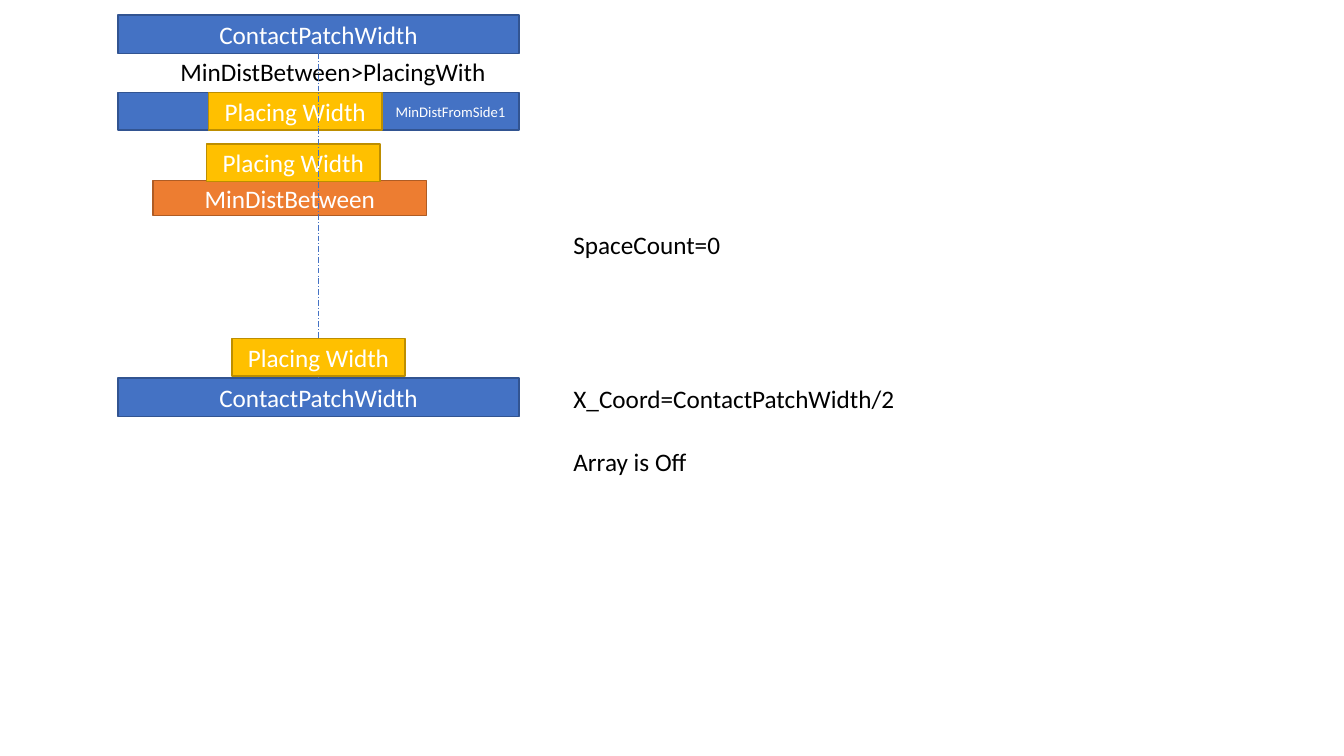
from pptx import Presentation
from pptx.dml.color import RGBColor
from pptx.enum.dml import MSO_LINE
from pptx.enum.shapes import MSO_CONNECTOR, MSO_SHAPE
from pptx.enum.text import MSO_ANCHOR, MSO_AUTO_SIZE, PP_ALIGN
from pptx.util import Inches, Pt
from lxml.etree import SubElement
from pptx.oxml.ns import qn

BLUE = RGBColor(0x44, 0x72, 0xC4)
BLUE_EDGE = RGBColor(0x32, 0x54, 0x91)
GOLD = RGBColor(0xFF, 0xC0, 0x00)
GOLD_EDGE = RGBColor(0xBD, 0x8E, 0x00)
ORANGE = RGBColor(0xED, 0x7D, 0x31)
ORANGE_EDGE = RGBColor(0xAF, 0x5C, 0x24)
WHITE = RGBColor(0xFF, 0xFF, 0xFF)
BLACK = RGBColor(0x00, 0x00, 0x00)

PATCH = (BLUE, BLUE_EDGE)
PLACING = (GOLD, GOLD_EDGE)
SPACING = (ORANGE, ORANGE_EDGE)

COLUMNS, ROWS = 160, 90
PATCH_LEFT, PATCH_WIDTH, PATCH_HEIGHT = 14.04, 47.76, 4.56
PATCH_TOP, RESULT_TOP = 1.8, 45
AXIS = PATCH_LEFT + PATCH_WIDTH / 2
PLACING_WIDTH, BAR_HEIGHT = 20.64, 4.44
SIDE_TOP, SIDE_WIDTH = 11.04, 10.8
SIDE_END = PATCH_LEFT + SIDE_WIDTH + PLACING_WIDTH
NOTE_LEFT, NOTE_HEIGHT = 67.08, 4.8


class Diagram:
    font = "Calibri"
    size = 18

    def __init__(self, prs):
        self.s = prs.slides.add_slide(prs.slide_layouts[6])
        self.col = prs.slide_width / COLUMNS
        self.row = prs.slide_height / ROWS

    def place(self, x, y, w, h):
        return (round(x * self.col), round(y * self.row),
                round(w * self.col), round(h * self.row))

    def label(self, tf, text, color, align, size):
        p = tf.paragraphs[0]
        p.alignment = align
        r = p.add_run()
        r.text = text
        r.font.color.rgb = color
        for name, value in {"name": self.font, "size": Pt(size)}.items():
            setattr(r.font, name, value)

    def bar(self, x, y, w, h, style, text="", size=size):
        sp = self.s.shapes.add_shape(MSO_SHAPE.RECTANGLE, *self.place(x, y, w, h))
        fill, edge = style
        sp.shadow.inherit = False
        sp.fill.solid()
        sp.fill.fore_color.rgb = fill
        sp.line.color.rgb = edge
        sp.line.width = Pt(1)
        tf = sp.text_frame
        tf.vertical_anchor = MSO_ANCHOR.MIDDLE
        if text:
            self.label(tf, text, WHITE, PP_ALIGN.CENTER, size)

    def note(self, x, y, w, text):
        sp = self.s.shapes.add_textbox(*self.place(x, y, w, NOTE_HEIGHT))
        tf = sp.text_frame
        for name, value in {"word_wrap": False,
                            "auto_size": MSO_AUTO_SIZE.SHAPE_TO_FIT_TEXT}.items():
            setattr(tf, name, value)
        self.label(tf, text, BLACK, PP_ALIGN.LEFT, self.size)

    def axis(self, x, top, bottom):
        left, y, _, h = self.place(x, top, 0, bottom - top)
        line = self.s.shapes.add_connector(MSO_CONNECTOR.STRAIGHT, left, y, left, y + h)
        line.line.color.rgb = BLUE
        line.line.width = Pt(0.5)
        line.line.dash_style = MSO_LINE.LONG_DASH_DOT
        SubElement(line._element.spPr, qn("a:effectLst"))


def main():
    prs = Presentation()
    prs.slide_width, prs.slide_height = Inches(13.33), Inches(7.5)
    d = Diagram(prs)

    d.bar(PATCH_LEFT, SIDE_TOP, SIDE_WIDTH, BAR_HEIGHT, PATCH)
    d.bar(SIDE_END, SIDE_TOP, PATCH_LEFT + PATCH_WIDTH - SIDE_END, BAR_HEIGHT,
          PATCH, "MinDistFromSide1", 10.5)
    d.bar(PATCH_LEFT + SIDE_WIDTH, SIDE_TOP, PLACING_WIDTH, BAR_HEIGHT,
          PLACING, "Placing Width")
    d.note(20.28, 6.12, 39.12, "MinDistBetween>PlacingWith")
    d.bar(18.24, 21.48, 32.52, 4.2, SPACING, "MinDistBetween")
    d.bar(24.6, 17.16, PLACING_WIDTH, BAR_HEIGHT, PLACING, "Placing Width")
    for top in (PATCH_TOP, RESULT_TOP):
        d.bar(PATCH_LEFT, top, PATCH_WIDTH, PATCH_HEIGHT, PATCH, "ContactPatchWidth")
    d.axis(AXIS, PATCH_TOP + PATCH_HEIGHT, RESULT_TOP)
    d.bar(AXIS - PLACING_WIDTH / 2, 40.32, PLACING_WIDTH, BAR_HEIGHT,
          PLACING, "Placing Width")
    for top, width, text in ((26.76, 20.16, "SpaceCount=0"),
                             (RESULT_TOP, 41.04, "X_Coord=ContactPatchWidth/2"),
                             (52.56, 16.08, "Array is Off")):
        d.note(NOTE_LEFT, top, width, text)

    prs.save("out.pptx")


if __name__ == "__main__":
    main()
